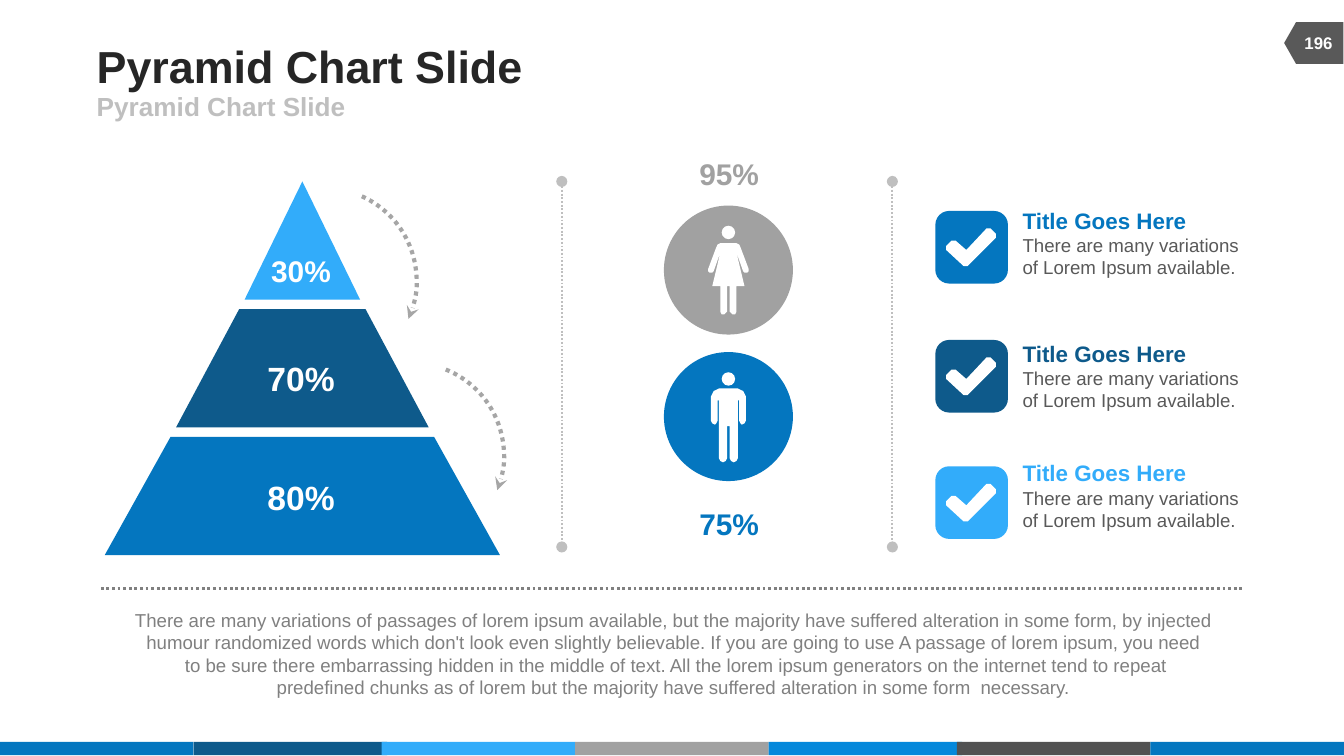
import pptx
import pptx.dml.color
import pptx.enum.dml
import pptx.enum.shapes
import pptx.enum.text
import pptx.oxml.ns
import pptx.util
import lxml.etree

Inches = pptx.util.Inches
SHAPE = pptx.enum.shapes.MSO_SHAPE
ANCHOR = pptx.enum.text.MSO_ANCHOR
ALIGN = pptx.enum.text.PP_ALIGN
color = pptx.dml.color.RGBColor.from_string

BLUE, NAVY, SKY, GRAY, WHITE = "0476BF", "0E5A8B", "32ACFA", "A1A1A1", "FFFFFF"

presentation = pptx.Presentation()
presentation.slide_width = Inches(10)
presentation.slide_height = Inches(10) * 9 // 16
slide = presentation.slides.add_slide(presentation.slide_layouts[6])
shapes = slide.shapes


def add_text(box, paragraphs, align=ALIGN.LEFT, anchor=ANCHOR.TOP, margin=0):
    """Write (text, size, colour, bold) paragraphs in a box of left, top, width, height."""
    frame = shapes.add_textbox(*map(Inches, box)).text_frame
    frame_format = {"word_wrap": True, "vertical_anchor": anchor,
                    "margin_left": Inches(margin), "margin_right": Inches(margin),
                    "margin_top": Inches(margin / 2), "margin_bottom": Inches(margin / 2)}
    for name, value in frame_format.items():
        setattr(frame, name, value)
    for index, (text, size, hex_color, bold) in enumerate(paragraphs):
        paragraph = frame.add_paragraph() if index else frame.paragraphs[0]
        paragraph.text = text
        paragraph.alignment = align
        font_format = {"name": "Arial", "size": pptx.util.Pt(size), "bold": bold}
        for run in paragraph.runs:
            for name, value in font_format.items():
                setattr(run.font, name, value)
            run.font.color.rgb = color(hex_color)


def style_line(shape, hex_color, width, ends):
    """Dot the line and add its ends, given as {"headEnd" or "tailEnd": type}."""
    shape.line.color.rgb = color(hex_color)
    shape.line.width = pptx.util.Pt(width)
    shape.line.dash_style = pptx.enum.dml.MSO_LINE.ROUND_DOT
    properties = shape.element.spPr
    line = properties.find(pptx.oxml.ns.qn("a:ln"))
    for name, kind in ends.items():
        lxml.etree.SubElement(line, pptx.oxml.ns.qn("a:" + name), type=kind)
    if properties.find(pptx.oxml.ns.qn("a:effectLst")) is None:
        lxml.etree.SubElement(properties, pptx.oxml.ns.qn("a:effectLst"))


# Filled preset shapes: kind, left, top, width, height, rotation, colour
presets = [(SHAPE.FLOWCHART_OFFPAGE_CONNECTOR, 9.62, 0.1, 0.31, 0.44, 90, "595959")]
footer_lefts = [0, 1.44, 2.84, 4.28, 5.72, 7.12, 8.56]
footer_colors = [BLUE, NAVY, SKY, GRAY, "0588DB", "525252", BLUE]
for left, hex_color in zip(footer_lefts, footer_colors):
    presets.append((SHAPE.RECTANGLE, left, 5.52, 1.44, 0.1, 0, hex_color))

# Symmetric outlines: centre, top, right half as offsets, colour
person_center = 5.42
pyramid_center = 2.25
woman = [(0.06, 0.28), (0.08, 0.29), (0.09, 0.31), (0.15, 0.47), (0.15, 0.49),
         (0.14, 0.5), (0.12, 0.5), (0.11, 0.49), (0.06, 0.35), (0.12, 0.6),
         (0.06, 0.6), (0.06, 0.79), (0.05, 0.81), (0.03, 0.81), (0.01, 0.79), (0.01, 0.6)]
man = [(0.07, 0.27), (0.11, 0.29), (0.13, 0.33), (0.13, 0.51), (0.12, 0.53),
       (0.1, 0.54), (0.09, 0.53), (0.08, 0.51), (0.08, 0.36), (0.07, 0.36),
       (0.07, 0.79), (0.06, 0.81), (0.04, 0.82), (0.02, 0.81), (0.01, 0.79), (0.01, 0.55)]
symmetric = [
    (pyramid_center, 1.35, [(0, 0), (0.43, 0.88)], SKY),
    (pyramid_center, 2.3, [(0.47, 0), (0.94, 0.88)], NAVY),
    (pyramid_center, 3.25, [(0.98, 0), (1.47, 0.88)], BLUE),
]
for top, half, hex_color in [(1.53, woman, GRAY), (2.62, man, BLUE)]:
    presets.append((SHAPE.OVAL, 4.94, top, 0.96, 0.96, 0, hex_color))
    presets.append((SHAPE.OVAL, 5.37, top + 0.15, 0.1, 0.1, 0, WHITE))
    symmetric.append((person_center, top, half, WHITE))

outlines = []
for center, top, half, hex_color in symmetric:
    right = [(center + x, top + y) for x, y in half]
    left = [(center - x, top + y) for x, y in reversed(half)]
    outlines.append((right + left, hex_color))

# Checked items
check = [(0.45, 0.2), (0.45, 0.17), (0.41, 0.13), (0.38, 0.13), (0.23, 0.29), (0.15, 0.22),
         (0.12, 0.22), (0.08, 0.26), (0.08, 0.29), (0.21, 0.41), (0.24, 0.41)]
for box_top, text_top, hex_color in [(1.57, 1.49, BLUE), (2.53, 2.48, NAVY), (3.47, 3.37, SKY)]:
    presets.append((SHAPE.ROUNDED_RECTANGLE, 6.96, box_top, 0.54, 0.54, 0, hex_color))
    outlines.append(([(6.96 + x, box_top + y) for x, y in check], WHITE))
    add_text((7.51, text_top, 1.99, 0.64),
             [("Title Goes Here", 12, hex_color, True),
              ("There are many variations \vof Lorem Ipsum available.", 10, "595959", False)],
             margin=0.1)

filled = []
for kind, left, top, width, height, rotation, hex_color in presets:
    shape = shapes.add_shape(kind, *map(Inches, (left, top, width, height)))
    shape.rotation = rotation
    if kind == SHAPE.ROUNDED_RECTANGLE:
        shape.adjustments[0] = 0.19
    filled.append((shape, hex_color))
for points, hex_color in outlines:
    corners = [(Inches(x), Inches(y)) for x, y in points]
    builder = shapes.build_freeform(*corners[0])
    builder.add_line_segments(corners[1:], close=True)
    filled.append((builder.convert_to_shape(), hex_color))
for shape, hex_color in filled:
    shape.shadow.inherit = False
    shape.fill.solid()
    shape.fill.fore_color.rgb = color(hex_color)
    shape.line.fill.background()

# Curved arrows and dotted rules
for left, top, rotation in [(1.72, 1.4, 24.2), (2.37, 2.7, 21.9)]:
    arc = shapes.add_shape(SHAPE.ARC, *map(Inches, (left, top, 1.38, 1.38)))
    arc.rotation = rotation
    arc.shadow.inherit = False
    arc.fill.background()
    style_line(arc, "A6A6A6", 2.25, {"tailEnd": "stealth"})
ovals = {"headEnd": "oval", "tailEnd": "oval"}
for ends, hex_color, width, line_ends in [
    ((4.18, 1.35, 4.18, 4.07), "BFBFBF", 1, ovals),
    ((6.64, 1.35, 6.64, 4.07), "BFBFBF", 1, ovals),
    ((0.75, 4.38, 9.25, 4.38), "808080", 1.5, {}),
]:
    rule = shapes.add_connector(pptx.enum.shapes.MSO_CONNECTOR.STRAIGHT, *map(Inches, ends))
    style_line(rule, hex_color, width, line_ends)

# Headings, percentages and closing text
title = "Pyramid Chart Slide"
add_text((0.72, 0.29, 6.17, 0.39), [(title, 24, "262626", True)], anchor=ANCHOR.MIDDLE)
add_text((0.72, 0.68, 4.5, 0.22), [(title, 14, "BFBFBF", True)], anchor=ANCHOR.MIDDLE)
for box, text, size, hex_color, anchor in [
    ((9.6, 0.17, 0.42, 0.3), "196", 9, WHITE, ANCHOR.MIDDLE),
    ((2.01, 1.88, 0.46, 0.27), "30%", 16, WHITE, ANCHOR.BOTTOM),
    ((1.98, 2.65, 0.52, 0.31), "70%", 18, WHITE, ANCHOR.BOTTOM),
    ((1.98, 3.54, 0.52, 0.31), "80%", 18, WHITE, ANCHOR.BOTTOM),
    ((5.19, 1.16, 0.47, 0.27), "95%", 16, GRAY, ANCHOR.TOP),
    ((5.19, 3.76, 0.47, 0.27), "75%", 16, BLUE, ANCHOR.TOP),
]:
    add_text(box, [(text, size, hex_color, True)], ALIGN.CENTER, anchor)
closing = (
    "There are many variations of passages of lorem ipsum available, but the majority have "
    "suffered alteration in some form, by injected humour randomized words which don't look "
    "even slightly believable. If you are going to use A passage of lorem ipsum, you need\v"
    " to be sure there embarrassing hidden in the middle of text. All the lorem ipsum "
    "generators on the internet tend to repeat\v"
    "predefined chunks as of lorem but the majority have suffered alteration in some form  necessary."
)
add_text((0.76, 4.53, 8.49, 0.67), [(closing, 10, "808080", False)], ALIGN.CENTER)

presentation.save("out.pptx")
